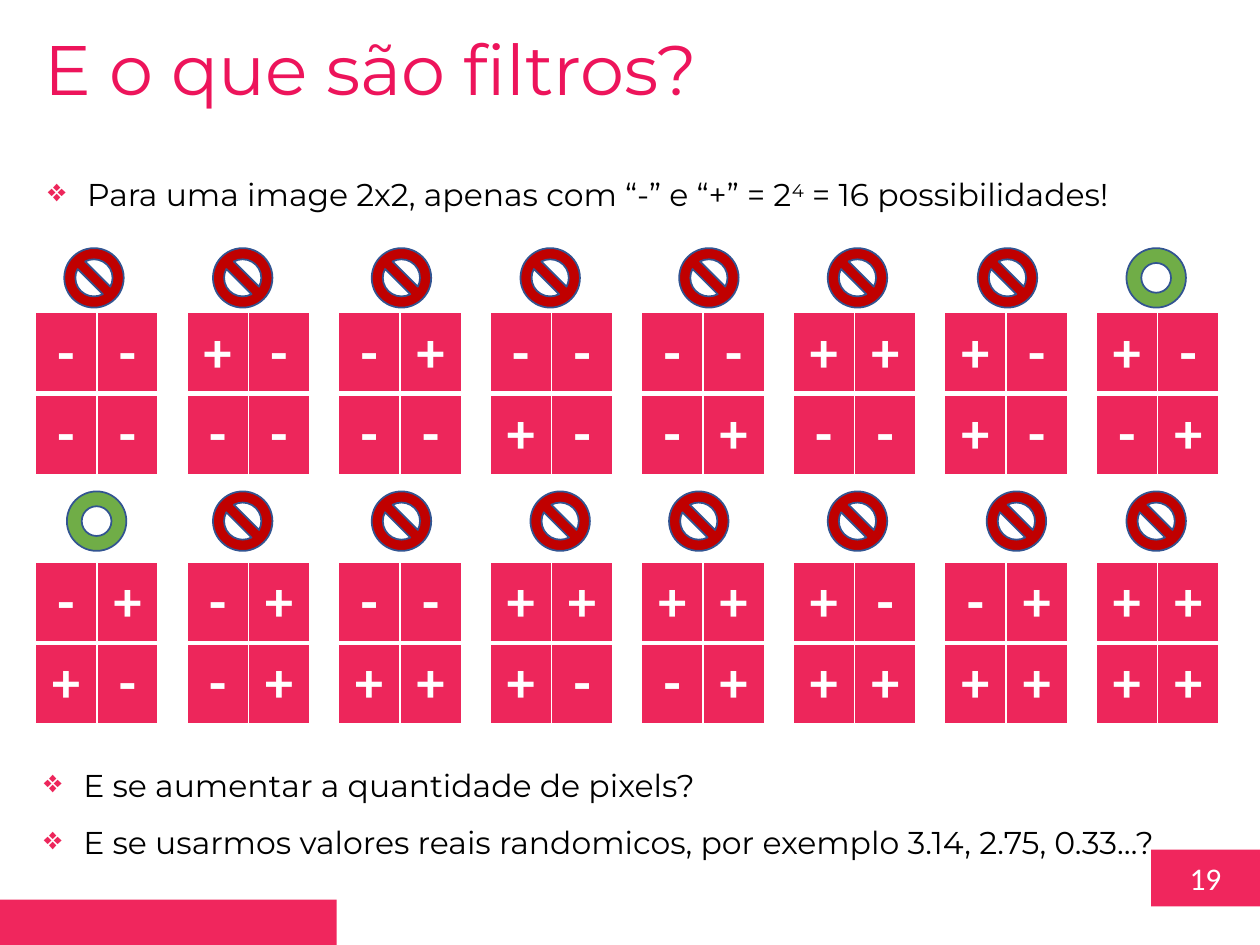
from lxml.etree import SubElement
from pptx import Presentation
from pptx.dml.color import RGBColor
from pptx.enum.shapes import MSO_SHAPE
from pptx.enum.text import MSO_ANCHOR, MSO_AUTO_SIZE, PP_ALIGN
from pptx.oxml import parse_xml
from pptx.oxml.ns import nsdecls, qn
from pptx.util import Pt

# Content: each filter is its upper row and its lower row of signs
TITLE = "E o que são filtros?"
INTRO = [[("Para uma image 2x2, apenas com “-” e “+” = 2", 0), ("4", 30),
          (" = 16 possibilidades!", 0)]]
QUESTIONS = [
    [("E se aumentar a quantidade de pixels?", 0)],
    [("E se usarmos valores reais randomicos, por exemplo 3.14, 2.75, 0.33…?", 0)],
]
FILTER_ROWS = [
    ["-- --", "+- --", "-+ --", "-- +-", "-- -+", "++ --", "+- +-", "+- -+"],
    ["-+ +-", "-+ -+", "-- ++", "++ +-", "++ -+", "+- ++", "-+ ++", "++ ++"],
]
ACCEPTED = {"+- -+", "-+ +-"}
PAGE_NUMBER = "19"

# Layout in points
FILTER_LEFT, FILTER_STEP, FILTER_TOPS = 20.2, 86.6, [178.6, 321.1]
CELL_W, CELL_H = 35.1, 45.7
ICON_SIZE, ICON_TOPS = 34, [141.8, 280.8]
ICON_LEFTS = [
    [36.7, 121.7, 212.4, 297.4, 388.1, 473, 558.7, 643.7],
    [38.2, 121.7, 212.4, 303.1, 382.3, 473, 563.8, 643.7],
]
INDENT = 22.5

# Formats
BAR, CELL, WHITE = "F0265D", "ED265B", "FFFFFF"
TITLE_FONT = {"name": "Montserrat", "size": Pt(40), "bold": False, "color": "ED145B"}
BODY_FONT = {"name": "Montserrat", "size": Pt(18), "color": "000000"}
SIGN_FONT = {"name": "Calibri", "size": Pt(32), "bold": True, "color": WHITE}
NUMBER_FONT = {"name": "Calibri", "size": Pt(18), "color": WHITE}


def rgb(value):
    return RGBColor.from_string(value)


def format_font(font, style):
    for key, value in style.items():
        if key == "color":
            font.color.rgb = rgb(value)
        else:
            setattr(font, key, value)


def write(p, text, style, align=PP_ALIGN.CENTER):
    p.alignment = align
    r = p.add_run()
    r.text = text
    format_font(r.font, style)
    return r


def add_shape(s, kind, box, fill, line=None):
    sp = s.shapes.add_shape(kind, *map(Pt, box))
    sp.shadow.inherit = False
    sp.fill.solid()
    sp.fill.fore_color.rgb = rgb(fill)
    if line:
        sp.line.color.rgb = rgb(line)
        sp.line.width = Pt(1)
    else:
        sp.line.fill.background()
    return sp


def add_bullets(s, box, paragraphs):
    tf = s.shapes.add_textbox(*map(Pt, box)).text_frame
    tf.word_wrap = True
    for i, runs in enumerate(paragraphs):
        p = tf.paragraphs[0] if i == 0 else tf.add_paragraph()
        pPr = p._p.get_or_add_pPr()
        pPr.set("marL", str(Pt(INDENT)))
        pPr.set("indent", str(-Pt(INDENT)))
        SubElement(SubElement(pPr, qn("a:buClr")), qn("a:srgbClr")).set("val", CELL)
        SubElement(pPr, qn("a:buChar")).set("char", "❖")
        p.line_spacing = 1.5
        for text, baseline in runs:
            r = write(p, text, BODY_FONT, PP_ALIGN.LEFT)
            if baseline:
                r.font._element.set("baseline", str(baseline * 1000))


def set_borders(cell, widths):
    tcPr = cell._tc.get_or_add_tcPr()
    for i, (side, width) in enumerate(widths.items()):
        tcPr.insert(i, parse_xml(
            f'<a:ln{side} {nsdecls("a")} w="{Pt(width)}"><a:solidFill>'
            f'<a:srgbClr val="{WHITE}"/></a:solidFill></a:ln{side}>'))


def add_filter(s, left, top, signs):
    box = (left, top, 2 * CELL_W, 2 * CELL_H)
    table = s.shapes.add_table(2, 2, *map(Pt, box)).table
    table.first_row = table.horz_banding = False
    for row, line in enumerate(signs.split()):
        for col, sign in enumerate(line):
            cell = table.cell(row, col)
            cell.fill.solid()
            cell.fill.fore_color.rgb = rgb(CELL)
            cell.vertical_anchor = MSO_ANCHOR.MIDDLE
            write(cell.text_frame.paragraphs[0], sign, SIGN_FONT)
            # A thick line parts the upper row from the lower one
            set_borders(cell, {"L": 1, "R": 1, "T": 3 if row else 1,
                               "B": 1 if row else 3})


def main():
    prs = Presentation()
    prs.slide_width, prs.slide_height = Pt(720), Pt(540)
    s = prs.slides.add_slide(prs.slide_layouts[5])

    # Title
    title = s.shapes.title
    title.left, title.top, title.width, title.height = map(Pt, (18, 10.8, 620, 55.4))
    tf = title.text_frame
    tf.word_wrap = True
    tf.auto_size = MSO_AUTO_SIZE.NONE
    tf.vertical_anchor = MSO_ANCHOR.TOP
    write(tf.paragraphs[0], TITLE, TITLE_FONT, PP_ALIGN.LEFT)

    # Page number and footer bar
    number = add_shape(s, MSO_SHAPE.RECTANGLE, (657.8, 485.5, 62.2, 32.4), BAR)
    number.text_frame.vertical_anchor = MSO_ANCHOR.MIDDLE
    write(number.text_frame.paragraphs[0], PAGE_NUMBER, NUMBER_FONT)
    add_shape(s, MSO_SHAPE.RECTANGLE, (0, 514, 192.4, 26), BAR)

    # Filters, each with its verdict above
    for signs_row, top, icon_top, icon_lefts in zip(
            FILTER_ROWS, FILTER_TOPS, ICON_TOPS, ICON_LEFTS):
        for i, (signs, icon_left) in enumerate(zip(signs_row, icon_lefts)):
            add_filter(s, FILTER_LEFT + i * FILTER_STEP, top, signs)
            kind, fill = ((MSO_SHAPE.DONUT, "70AD47") if signs in ACCEPTED
                          else (MSO_SHAPE.NO_SYMBOL, "C00000"))
            add_shape(s, kind, (icon_left, icon_top, ICON_SIZE, ICON_SIZE),
                      fill, "325491")

    # Bulleted text
    add_bullets(s, (20.2, 85.7, 677.5, 36.7), INTRO)
    add_bullets(s, (18, 423.4, 677.5, 69.1), QUESTIONS)

    prs.save("out.pptx")


if __name__ == "__main__":
    main()
